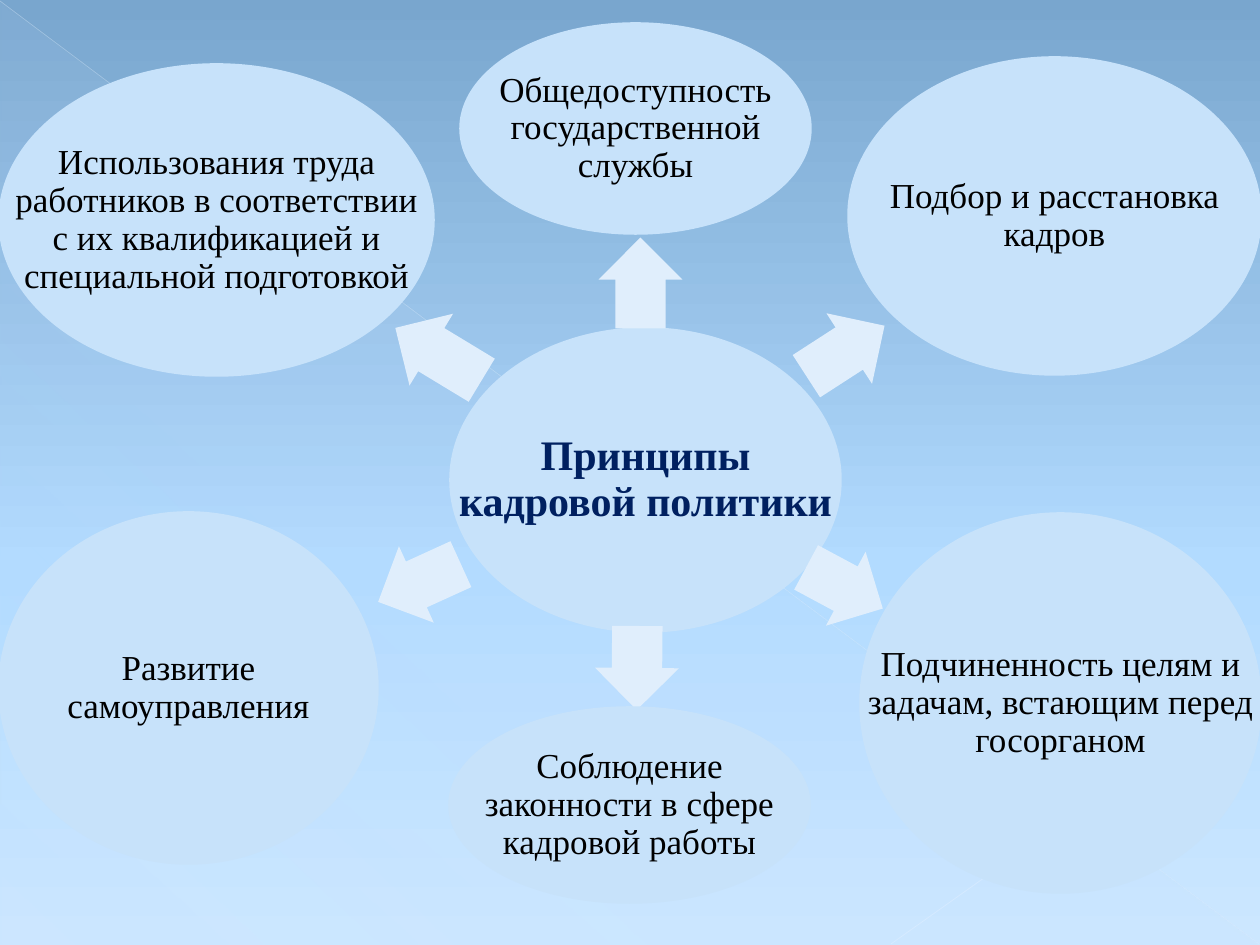
from lxml import etree
from pptx import Presentation
from pptx.dml.color import RGBColor
from pptx.enum.shapes import MSO_CONNECTOR, MSO_SHAPE
from pptx.enum.text import MSO_ANCHOR, PP_ALIGN
from pptx.oxml.ns import qn
from pptx.util import Emu, Pt

OVAL, ARROW, WEDGE = MSO_SHAPE.OVAL, MSO_SHAPE.RIGHT_ARROW, MSO_SHAPE.RIGHT_TRIANGLE
STRAIGHT = MSO_CONNECTOR.STRAIGHT
MIDDLE, CENTER = MSO_ANCHOR.MIDDLE, PP_ALIGN.CENTER
PALE = RGBColor(0xC7, 0xE2, 0xFA)
LIGHT = RGBColor(0xE0, 0xEE, 0xFC)
NAVY = RGBColor(0x00, 0x20, 0x60)
BLACK = RGBColor(0x00, 0x00, 0x00)
RAY = RGBColor(0xE0, 0xF0, 0xFF)
GLOW = RGBColor(0xE3, 0xF1, 0xFF)
SKY = [(0, RGBColor(0x79, 0xA6, 0xCE), 100), (60, RGBColor(0xB2, 0xDB, 0xFF), 100),
       (100, RGBColor(0xCC, 0xE7, 0xFF), 100)]
VEIL = [(0, PALE, 10), (70, PALE, 8), (100, PALE, 1)]
FONT = "Times New Roman"


def px(*nums):
    return [Emu(round(n * 914400 / 126)) for n in nums]


def shade(fill, node, angle, stops):
    fill.gradient()
    fill.gradient_angle = 360 - angle
    items = next(node.iter(qn("a:gsLst")))
    for old in list(items):
        items.remove(old)
    for pos, color, alpha in stops:
        stop = etree.SubElement(items, qn("a:gs"), pos=str(pos * 1000))
        tint = etree.SubElement(stop, qn("a:srgbClr"), val=str(color))
        etree.SubElement(tint, qn("a:alpha"), val=str(alpha * 1000))


deck = Presentation()
deck.slide_width, deck.slide_height = px(1260, 945)
slide = deck.slides.add_slide(deck.slide_layouts[6])
shapes = slide.shapes
shade(slide.background.fill, slide.element, 90, SKY)

veil = shapes.add_shape(WEDGE, *px(1, 2, 1258, 943))
veil.shadow.inherit = False
veil.line.fill.background()
shade(veil.fill, veil.element, 133, VEIL)

for ends, color, width, alpha in [
    ((0, 1, 1259, 944), RAY, 0.39, 35),
    ((1260, 682, 891, 944), GLOW, 0.47, 45),
]:
    ray = shapes.add_connector(STRAIGHT, *px(*ends))
    ray.line.color.rgb = color
    ray.line.width = Pt(width)
    tint = next(ray.element.iter(qn("a:srgbClr")))
    etree.SubElement(tint, qn("a:alpha"), val=str(alpha * 1000))
    etree.SubElement(ray.element.spPr, qn("a:effectLst"))

nodes = [
    ("Принципы кадровой политики", (451, 329, 389, 302), None, 0),
    ("Общедоступность государственной службы", (461, 24, 349, 209), (595, 241, 91, 84), 270),
    ("Подбор и расстановка кадров", (849, 58, 411, 316), (799, 309, 93, 84), 327.1),
    ("Подчиненность целям и задачам, встающим перед госорганом",
     (861, 514, 399, 378), (801, 546, 87, 84), 28.2),
    ("Соблюдение законности в сфере кадровой работы",
     (450, 708, 359, 194), (595, 626, 84, 84), 90.5),
    ("Развитие самоуправления", (0, 513, 377, 350), (374, 541, 91, 84), 155.5),
    ("Использования труда работников в соответствии с их квалификацией и "
     "специальной подготовкой", (0, 65, 433, 310), (388, 312, 101, 84), 211.2),
]
for text, area, place, turn in nodes:
    if place:
        arrow = shapes.add_shape(ARROW, *px(*place))
        arrow.adjustments[0], arrow.adjustments[1] = 0.6, 0.5
        arrow.rotation = turn
        arrow.shadow.inherit = False
        arrow.fill.solid()
        arrow.fill.fore_color.rgb = LIGHT
        arrow.line.fill.background()

    oval = shapes.add_shape(OVAL, *px(*area))
    oval.shadow.inherit = False
    oval.fill.solid()
    oval.fill.fore_color.rgb = PALE
    oval.line.color.rgb = PALE
    oval.line.width = Pt(2)

    frame = shapes.add_textbox(*px(*area)).text_frame
    frame.word_wrap = True
    frame.vertical_anchor = MIDDLE
    frame.margin_left, frame.margin_top, frame.margin_right, frame.margin_bottom = px(4, 4, 4, 4)
    para = frame.paragraphs[0]
    para.alignment = CENTER
    para.line_spacing = 0.9
    run = para.add_run()
    run.text = text
    run.font.name = FONT
    run.font.size = Pt(20 if place else 24)
    run.font.bold = not place
    run.font.color.rgb = BLACK if place else NAVY

deck.save("out.pptx")
